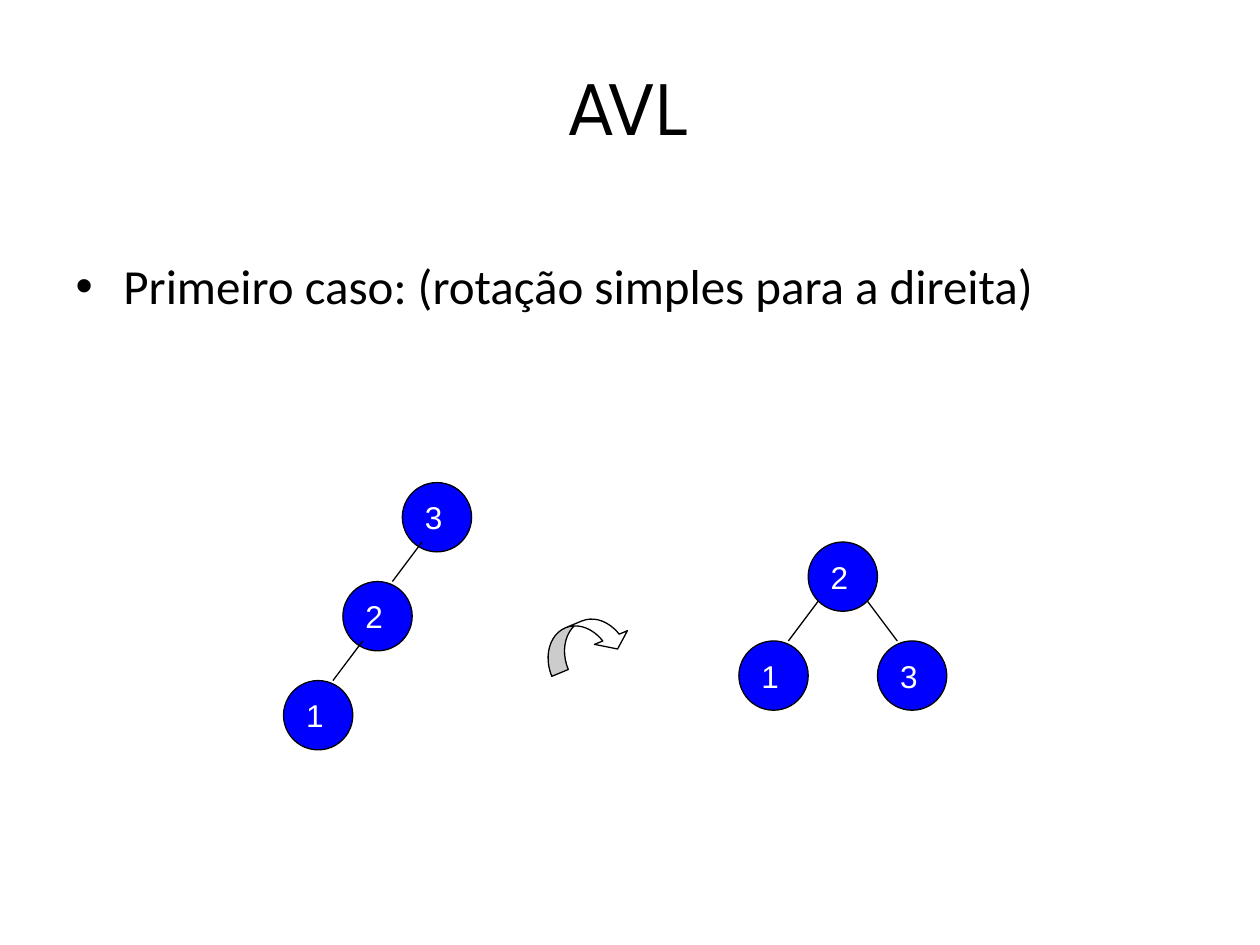
from dataclasses import dataclass

import pptx
import pptx.util
import pptx.dml.color
import pptx.enum.shapes
import pptx.enum.text
import pptx.oxml
import pptx.oxml.ns
from lxml import etree

Inches, Pt = pptx.util.Inches, pptx.util.Pt
RGBColor = pptx.dml.color.RGBColor
MSO_SHAPE = pptx.enum.shapes.MSO_SHAPE
PP_ALIGN = pptx.enum.text.PP_ALIGN
MSO_ANCHOR = pptx.enum.text.MSO_ANCHOR
qn = pptx.oxml.ns.qn

BLACK = RGBColor(0, 0, 0)
WHITE = RGBColor(255, 255, 255)
BLUE = RGBColor(0, 0, 255)

# Grid of the diagram: a node is seven units across.
NODE = 7
UNIT = 0.55 / NODE
LEFT, TOP = 2.25, 3.83

SHADOW = (
    '<a:effectLst xmlns:a="http://schemas.openxmlformats.org/drawingml/2006/main">'
    '<a:outerShdw blurRad="38100" dist="38100" dir="2700000" algn="tl">'
    '<a:srgbClr val="000000"><a:alpha val="43000"/></a:srgbClr>'
    '</a:outerShdw></a:effectLst>'
)


@dataclass(frozen=True)
class Node:
    key: str
    col: int
    row: int


@dataclass(frozen=True)
class Edge:
    """Link from a child up to its parent; side is 1 when the parent is to the right."""
    child: Node
    side: int


def x(col: float) -> int:
    return Inches(LEFT + col * UNIT)


def y(row: float) -> int:
    return Inches(TOP + row * UNIT)


def size(units: float) -> int:
    return Inches(units * UNIT)


def style_font(font, name: str, points: int, color: RGBColor) -> None:
    font.name = name
    font.size = Pt(points)
    font.color.rgb = color


def paint(s, fill: RGBColor) -> None:
    s.shadow.inherit = False
    s.fill.solid()
    s.fill.fore_color.rgb = fill
    s.line.color.rgb = BLACK
    s.line.width = Pt(0.75)


def draw_node(shapes, node: Node) -> None:
    s = shapes.add_shape(MSO_SHAPE.OVAL, x(node.col), y(node.row), size(NODE), size(NODE))
    paint(s, BLUE)
    tf = s.text_frame
    tf.text = node.key
    tf.word_wrap = False
    tf.vertical_anchor = MSO_ANCHOR.MIDDLE
    p = tf.paragraphs[0]
    p.alignment = PP_ALIGN.LEFT
    style_font(p.runs[0].font, "Arial", 18, WHITE)


def draw_edge(shapes, edge: Edge) -> None:
    col = edge.child.col + NODE / 2 + 1.5 * edge.side
    row = edge.child.row
    c = shapes.add_connector(
        pptx.enum.shapes.MSO_CONNECTOR.STRAIGHT,
        x(col), y(row), x(col + 3 * edge.side), y(row - 4),
    )
    c.line.color.rgb = BLACK
    c.line.width = Pt(0.75)
    etree.SubElement(c._element.spPr, qn("a:effectLst"))


def draw_tree(shapes, nodes: list[Node], edges: list[Edge]) -> None:
    for node in nodes:
        draw_node(shapes, node)
    for edge in edges:
        draw_edge(shapes, edge)


def draw_rotation_arrow(shapes) -> None:
    s = shapes.add_shape(MSO_SHAPE.CURVED_DOWN_ARROW, x(26), y(14), size(9), size(4))
    for i, value in enumerate((0.45, 0.9, 0.33)):
        s.adjustments[i] = value
    s.rotation = 337.4
    paint(s, WHITE)


def place(s, left: float, top: float, width: float, height: float) -> None:
    s.left, s.top, s.width, s.height = map(Inches, (left, top, width, height))


def write_title(s) -> None:
    place(s, 0.5, 0.3, 9, 0.95)
    tf = s.text_frame
    tf.text = "AVL"
    tf.vertical_anchor = MSO_ANCHOR.BOTTOM
    p = tf.paragraphs[0]
    p.alignment = PP_ALIGN.CENTER
    r = p.runs[0]
    style_font(r.font, "League Spartan", 44, BLACK)
    r.font.fill._xPr.find(qn("a:solidFill")).addnext(pptx.oxml.parse_xml(SHADOW))


def write_body(s) -> None:
    place(s, 0.5, 1.98, 9.25, 4.94)
    tf = s.text_frame
    tf.text = "Primeiro caso: (rotação simples para a direita)"
    p = tf.paragraphs[0]
    pPr = p._p.get_or_add_pPr()
    pPr.set("marL", str(Inches(0.38)))
    pPr.set("indent", str(-Inches(0.38)))
    etree.SubElement(pPr, qn("a:buFont"), typeface="Arial")
    etree.SubElement(pPr, qn("a:buChar"), char="•")
    p.space_before = Pt(0)
    style_font(p.runs[0].font, "Calibri", 28, BLACK)


def main() -> None:
    prs = pptx.Presentation()
    prs.slide_width, prs.slide_height = Inches(10), Inches(7.5)
    slide = prs.slides.add_slide(prs.slide_layouts[1])
    write_title(slide.shapes.title)
    write_body(slide.placeholders[1])

    chain = [Node("3", 12, 0), Node("2", 6, 10), Node("1", 0, 20)]
    draw_tree(slide.shapes.add_group_shape().shapes, chain,
              [Edge(child, 1) for child in chain[1:]])

    root, low, high = Node("2", 53, 6), Node("1", 46, 16), Node("3", 60, 16)
    draw_tree(slide.shapes, [root, low, high], [Edge(low, 1), Edge(high, -1)])

    draw_rotation_arrow(slide.shapes)
    prs.save("out.pptx")


if __name__ == "__main__":
    main()
